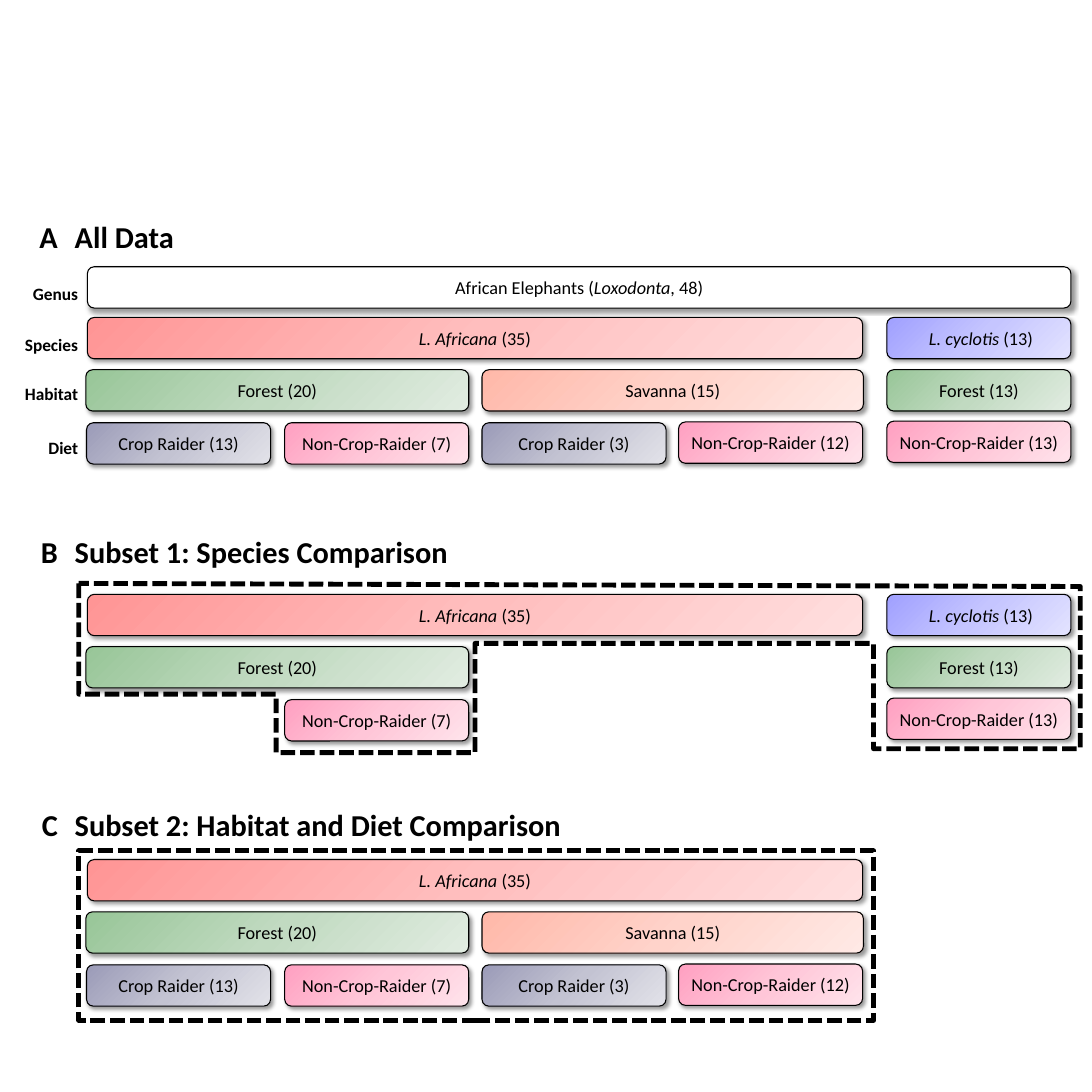
"""Build a slide that shows how the elephant samples split into two subsets."""
import dataclasses

import lxml.etree
import pptx
import pptx.dml.color
import pptx.enum.dml
import pptx.enum.shapes
import pptx.enum.text
import pptx.oxml.ns
import pptx.util

Inches = pptx.util.Inches
SHAPES = pptx.enum.shapes.MSO_SHAPE
ALIGN = pptx.enum.text.PP_ALIGN


@dataclasses.dataclass(frozen=True)
class Theme:
    font: str = "Calibri"
    ink: str = "000000"
    paper: str = "FFFFFF"
    africana: tuple = ("FF9595", "FFBEBE", "FFDFDF")
    cyclotis: tuple = ("A0A0FF", "C5C5FF", "E3E3FF")
    forest: tuple = ("98C698", "C1DAC1", "E1ECE1")
    savanna: tuple = ("FFB8A9", "FFD3CA", "FFE9E5")
    raider: tuple = ("9B9BB8", "C3C3D2", "E2E2E9")
    non_raider: tuple = ("FFA0C1", "FFC6D8", "FFE3EB")
    heading_size: float = 28
    box_size: float = 16.8
    label_size: float = 16
    box_line: float = 1
    outline_line: float = 4.5


THEME = Theme()
BOX_HEIGHT = 0.53
SMALL_WIDTH = 2.36
RIGHT_COLUMN = 11.37

# Each group box: left, distance below the species row, width, colours, text.
GROUPS = {
    "africana": (1.12, 0, 9.94, THEME.africana, "*L. Africana *(35)"),
    "cyclotis": (RIGHT_COLUMN, 0, SMALL_WIDTH, THEME.cyclotis, " *L. cyclotis *(13)"),
    "africana forest": (1.1, 0.67, 4.91, THEME.forest, "Forest (20)"),
    "savanna": (6.18, 0.67, 4.89, THEME.savanna, "Savanna (15)"),
    "cyclotis forest": (RIGHT_COLUMN, 0.67, SMALL_WIDTH, THEME.forest, "Forest (13)"),
    "forest raider": (1.11, 1.35, SMALL_WIDTH, THEME.raider, "Crop Raider (13)"),
    "forest non-raider": (3.65, 1.35, SMALL_WIDTH, THEME.non_raider, "Non-Crop-Raider (7)"),
    "savanna raider": (6.18, 1.35, SMALL_WIDTH, THEME.raider, "Crop Raider (3)"),
    "savanna non-raider": (8.7, 1.34, SMALL_WIDTH, THEME.non_raider, "Non-Crop-Raider (12)"),
    "cyclotis non-raider": (RIGHT_COLUMN, 1.33, SMALL_WIDTH, THEME.non_raider,
                            "Non-Crop-Raider (13)"),
}

SPECIES_SUBSET = ("africana", "cyclotis", "africana forest", "cyclotis forest",
                  "forest non-raider", "cyclotis non-raider")
DIET_SUBSET = ("africana", "africana forest", "savanna", "forest raider",
               "forest non-raider", "savanna raider", "savanna non-raider")

# Each panel: letter, title, heading top, species row top, groups.
PANELS = (
    ("A", "All Data", 2.75, 4.07, tuple(GROUPS)),
    ("B", "Subset 1: Species Comparison", 6.79, 7.62, SPECIES_SUBSET),
    ("C", "Subset 2: Habitat and Diet Comparison", 10.29, 11.02, DIET_SUBSET),
)

ROW_LABELS = (("Genus", 3.58), ("Species", 4.23), ("Habitat", 4.86), ("Diet", 5.56))

SPECIES_OUTLINE = ((1.01, 7.48), (1.01, 8.9), (3.54, 8.9), (3.54, 9.65), (6.09, 9.65),
                   (6.09, 8.25), (11.2, 8.25), (11.2, 9.6), (13.85, 9.6), (13.85, 7.52))


def color(value):
    return pptx.dml.color.RGBColor.from_string(value)


def add_child(parent, tag, **attributes):
    return lxml.etree.SubElement(parent, pptx.oxml.ns.qn(tag), attributes)


def write_text(frame, text, *, size, bold=False, align=ALIGN.LEFT):
    """Write one paragraph; asterisks enclose italic words."""
    paragraph = frame.paragraphs[0]
    paragraph.alignment = align
    for index, part in enumerate(text.split("*")):
        if part:
            run = paragraph.add_run()
            run.text = part
            run.font.name = THEME.font
            run.font.size = pptx.util.Pt(size)
            run.font.bold = bold
            run.font.italic = index % 2 == 1
            run.font.color.rgb = color(THEME.ink)


def add_label(slide, text, left, top, width, height, **text_format):
    box = slide.shapes.add_textbox(Inches(left), Inches(top), Inches(width), Inches(height))
    box.text_frame.word_wrap = True
    box.text_frame.auto_size = pptx.enum.text.MSO_AUTO_SIZE.SHAPE_TO_FIT_TEXT
    write_text(box.text_frame, text, bold=True, **text_format)


def fill_gradient(shape, colors):
    shape.fill.gradient()
    shape.fill.gradient_angle = 315
    stops = shape._element.spPr.find(".//" + pptx.oxml.ns.qn("a:gsLst"))
    for stop in list(stops):
        stops.remove(stop)
    for index, value in enumerate(colors):
        stop = add_child(stops, "a:gs", pos=str(index * 50000))
        add_child(stop, "a:srgbClr", val=value)


def add_shadow(shape):
    shape.shadow.inherit = False
    effects = shape._element.spPr.find(pptx.oxml.ns.qn("a:effectLst"))
    shadow = add_child(effects, "a:outerShdw", blurRad=str(pptx.util.Pt(4)),
                       dist=str(pptx.util.Pt(3)), dir="2700000", algn="tl", rotWithShape="0")
    shade = add_child(shadow, "a:srgbClr", val=THEME.ink)
    add_child(shade, "a:alpha", val="40000")


def add_group_box(slide, text, left, top, width, colors=None):
    shape = slide.shapes.add_shape(SHAPES.ROUNDED_RECTANGLE, Inches(left), Inches(top),
                                   Inches(width), Inches(BOX_HEIGHT))
    if colors:
        fill_gradient(shape, colors)
    else:
        shape.fill.solid()
        shape.fill.fore_color.rgb = color(THEME.paper)
    shape.line.color.rgb = color(THEME.ink)
    shape.line.width = pptx.util.Pt(THEME.box_line)
    add_shadow(shape)
    shape.text_frame.vertical_anchor = pptx.enum.text.MSO_ANCHOR.MIDDLE
    write_text(shape.text_frame, text, size=THEME.box_size, align=ALIGN.CENTER)


def style_outline(shape):
    shape.shadow.inherit = False
    shape.fill.background()
    shape.line.color.rgb = color(THEME.ink)
    shape.line.width = pptx.util.Pt(THEME.outline_line)
    shape.line.dash_style = pptx.enum.dml.MSO_LINE.SQUARE_DOT


def add_polygon_outline(slide, points):
    corners = [(Inches(x), Inches(y)) for x, y in points]
    builder = slide.shapes.build_freeform(*corners[0])
    builder.add_line_segments(corners[1:], close=True)
    style_outline(builder.convert_to_shape())


def add_rectangle_outline(slide, left, top, width, height):
    style_outline(slide.shapes.add_shape(SHAPES.RECTANGLE, Inches(left), Inches(top),
                                         Inches(width), Inches(height)))


def add_panel(slide, letter, title, heading_top, species_top, groups):
    add_label(slide, letter, 0.26, heading_top, 0.58, 0.57,
              size=THEME.heading_size, align=ALIGN.RIGHT)
    add_label(slide, title, 0.86, heading_top, 7.11, 0.57, size=THEME.heading_size)
    for group in groups:
        left, offset, width, colors, text = GROUPS[group]
        add_group_box(slide, text, left, species_top + offset, width, colors)


def main():
    presentation = pptx.Presentation()
    presentation.slide_width = presentation.slide_height = Inches(14)
    slide = presentation.slides.add_slide(presentation.slide_layouts[6])
    add_group_box(slide, "African Elephants (*Loxodonta*, 48)", 1.12, 3.42, 12.61)
    for text, top in ROW_LABELS:
        add_label(slide, text, 0, top, 1.1, 0.37, size=THEME.label_size, align=ALIGN.RIGHT)
    for panel in PANELS:
        add_panel(slide, *panel)
    add_polygon_outline(slide, SPECIES_OUTLINE)
    add_rectangle_outline(slide, 1.01, 10.91, 10.19, 2.17)
    presentation.save("out.pptx")


main()
